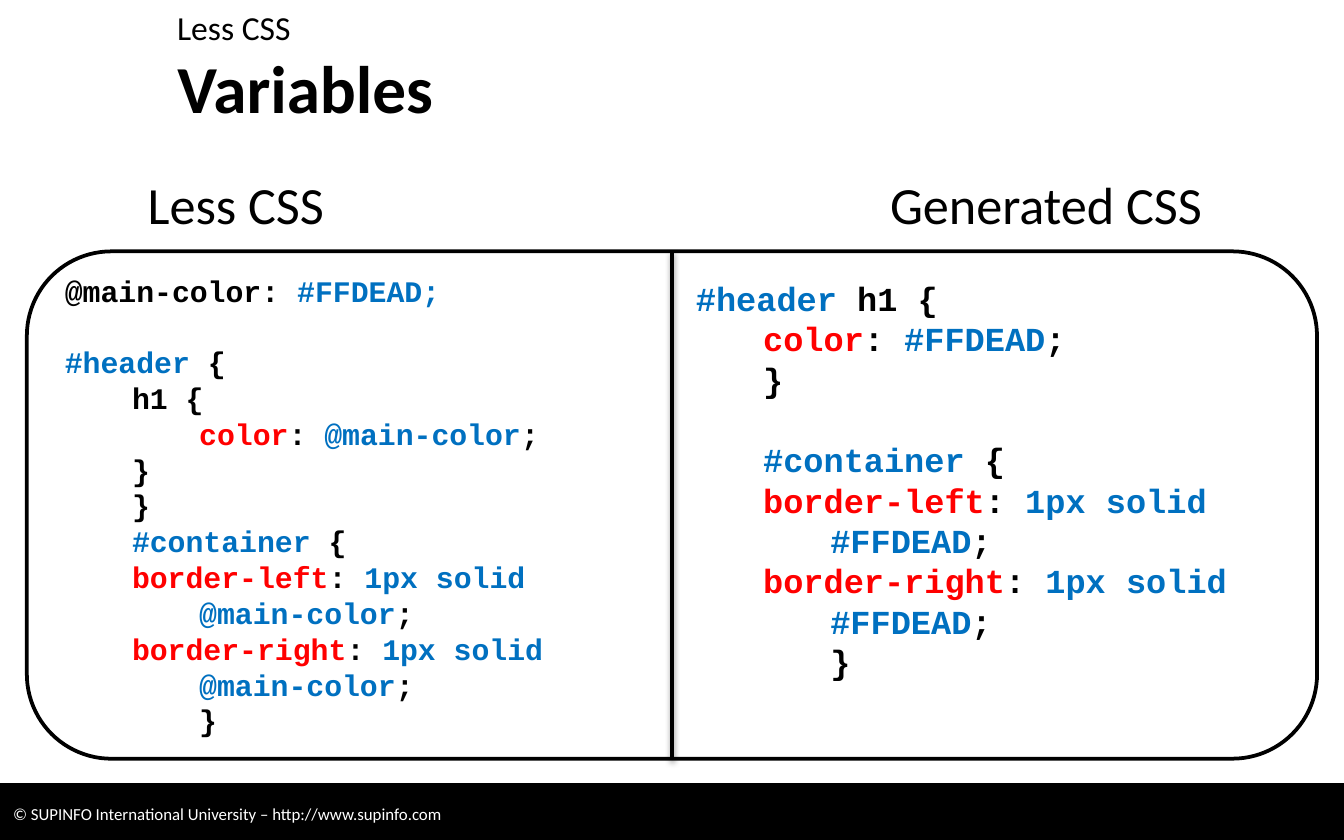
from dataclasses import dataclass

from lxml import etree
from pptx import Presentation
from pptx.dml.color import RGBColor
from pptx.enum.shapes import MSO_CONNECTOR, MSO_SHAPE
from pptx.enum.text import MSO_ANCHOR, PP_ALIGN
from pptx.oxml import parse_xml
from pptx.oxml.ns import nsdecls, qn
from pptx.util import Inches, Pt

TOP, MIDDLE = MSO_ANCHOR.TOP, MSO_ANCHOR.MIDDLE
LEFT, RIGHT = PP_ALIGN.LEFT, PP_ALIGN.RIGHT
RECTANGLE, ROUNDED = MSO_SHAPE.RECTANGLE, MSO_SHAPE.ROUNDED_RECTANGLE
STRAIGHT = MSO_CONNECTOR.STRAIGHT
SIDE_TOP, SIDE_BOTTOM = 0, 2

WIDTH, HEIGHT = Inches(10), Inches(6.25)
COLUMNS = ROWS = 50


@dataclass(frozen=True)
class Theme:
    ink: RGBColor = RGBColor(0, 0, 0)
    paper: RGBColor = RGBColor(255, 255, 255)
    value: RGBColor = RGBColor(0x00, 0x70, 0xC0)
    key: RGBColor = RGBColor(255, 0, 0)
    text_font: str = "Calibri"
    code_font: str = "Courier New"
    title: int = 36
    heading: int = 28
    topic: int = 18
    footer: int = 9
    less_code: int = 16
    css_code: int = 18
    line_height: float = 1.2
    indent: float = 0.5
    rule: int = 2


THEME = Theme()
INK, VALUE, KEY = THEME.ink, THEME.value, THEME.key


@dataclass(frozen=True)
class Box:
    """A place on the page grid, in columns and rows."""
    column: float
    row: float
    columns: float
    rows: float

    def lengths(self):
        across, down = WIDTH / COLUMNS, HEIGHT / ROWS
        return (round(self.column * across), round(self.row * down),
                round(self.columns * across), round(self.rows * down))


@dataclass(frozen=True)
class CodeLine:
    level: int
    spans: tuple
    gap_before: bool = False


def selector(level, name, gap_before=False):
    return CodeLine(level, ((name, VALUE), (" {", INK)), gap_before)


def closing(level):
    return CodeLine(level, (("}", INK),))


def color_rule(level, value):
    return CodeLine(level, (("color", KEY), (": ", INK), (value, VALUE), (";", INK)))


def container_block(value, gap_before=False):
    lines = [selector(1, "#container", gap_before)]
    for side in ("left", "right"):
        lines.append(CodeLine(1, ((f"border-{side}", KEY), (": ", INK), ("1px solid", VALUE))))
        lines.append(CodeLine(2, ((value, VALUE), (";", INK))))
    return lines + [closing(2)]


LESS_CODE = [
    CodeLine(0, (("@main-color:", INK), (" #FFDEAD;", VALUE))),
    selector(0, "#header", gap_before=True),
    CodeLine(1, (("h1 {", INK),)),
    color_rule(2, "@main-color"),
    closing(1),
    closing(1),
    *container_block("@main-color"),
]
CSS_CODE = [
    CodeLine(0, (("#header", VALUE), (" h1 {", INK))),
    color_rule(1, "#FFDEAD"),
    closing(1),
    *container_block("#FFDEAD", gap_before=True),
]


def write_text(shape, text, size, color=INK, bold=False, anchor=TOP, align=LEFT):
    frame = shape.text_frame
    frame.word_wrap = True
    frame.vertical_anchor = anchor
    para = frame.paragraphs[0]
    para.text = text
    para.alignment = align
    font = para.font
    font.name, font.size, font.bold = THEME.text_font, Pt(size), bold
    font.color.rgb = color


def write_code(shape, lines, size, anchor):
    frame = shape.text_frame
    frame.word_wrap = True
    frame.vertical_anchor = anchor
    pitch = Pt(size * THEME.line_height)
    for number, line in enumerate(lines):
        para = frame.add_paragraph() if number else frame.paragraphs[0]
        para.alignment = LEFT
        para.line_spacing = pitch
        para.space_before = pitch if line.gap_before else 0
        properties = para._p.get_or_add_pPr()
        properties.set("marL", str(Inches(line.level * THEME.indent)))
        properties.set("indent", "0")
        font = para.font
        font.name, font.size, font.bold = THEME.code_font, Pt(size), True
        for text, color in line.spans:
            span = para.add_run()
            span.text = text
            span.font.color.rgb = color


def add_text(page, box, text, size, **style):
    write_text(page.shapes.add_textbox(*box.lengths()), text, size, **style)


def add_panel(page, box, preset, fill, line_width):
    panel = page.shapes.add_shape(preset, *box.lengths())
    panel.shadow.inherit = False
    panel.fill.solid()
    panel.fill.fore_color.rgb = fill
    panel.line.color.rgb = INK
    panel.line.width = Pt(line_width)
    return panel


def add_divider(page, panel):
    """Split the panel down its middle with a softly shadowed line."""
    divider = page.shapes.add_connector(STRAIGHT, 0, 0, 0, 0)
    divider.begin_connect(panel, SIDE_TOP)
    divider.end_connect(panel, SIDE_BOTTOM)
    divider.line.color.rgb = INK
    divider.line.width = Pt(THEME.rule)
    effects = etree.SubElement(divider._element.spPr, qn("a:effectLst"))
    effects.append(parse_xml(
        f'<a:outerShdw {nsdecls("a")} blurRad="{Pt(3.1)}" dist="{Pt(1.6)}" dir="5400000" '
        f'rotWithShape="0"><a:srgbClr val="{INK}"><a:alpha val="38000"/></a:srgbClr>'
        '</a:outerShdw>'))


def add_header(page, box):
    topic_rows = box.rows * 0.4
    title = page.shapes.title
    title.left, title.top, title.width, title.height = Box(
        box.column, box.row + topic_rows, box.columns, box.rows - topic_rows).lengths()
    write_text(title, "Variables", THEME.title, bold=True, anchor=MIDDLE)
    add_text(page, Box(box.column, box.row, box.columns, topic_rows), "Less CSS", THEME.topic)


def add_headings(page, box):
    half = box.columns / 2
    for number, (text, align) in enumerate((("Less CSS", LEFT), ("Generated CSS", RIGHT))):
        place = Box(box.column + number * half, box.row, half, box.rows)
        add_text(page, place, text, THEME.heading, align=align)


def add_comparison(page, box):
    panel = add_panel(page, box, ROUNDED, THEME.paper, THEME.rule)
    write_code(panel, LESS_CODE, THEME.less_code, MIDDLE)
    add_divider(page, panel)
    css_place = Box(box.column + box.columns / 2 + 0.4, box.row + 1.2, 22, 25)
    css_text = page.shapes.add_textbox(*css_place.lengths())
    write_code(css_text, CSS_CODE, THEME.css_code, TOP)


def add_footer(page, box):
    bar = add_panel(page, box, RECTANGLE, INK, 0.75)
    write_text(bar, "© SUPINFO International University – http://www.supinfo.com",
               THEME.footer, color=THEME.paper, anchor=MIDDLE)


def main():
    deck = Presentation()
    deck.slide_width, deck.slide_height = WIDTH, HEIGHT
    page = deck.slides.add_slide(deck.slide_layouts.get_by_name("Title Only"))
    add_footer(page, Box(0, 46.64, COLUMNS, 3.6))
    add_header(page, Box(6.1, 0, 42.5, 7.36))
    add_headings(page, Box(5, 9.84, 40.2, 4.6))
    add_comparison(page, Box(1, 14.96, 48, 30.2))
    deck.save("out.pptx")


if __name__ == "__main__":
    main()
